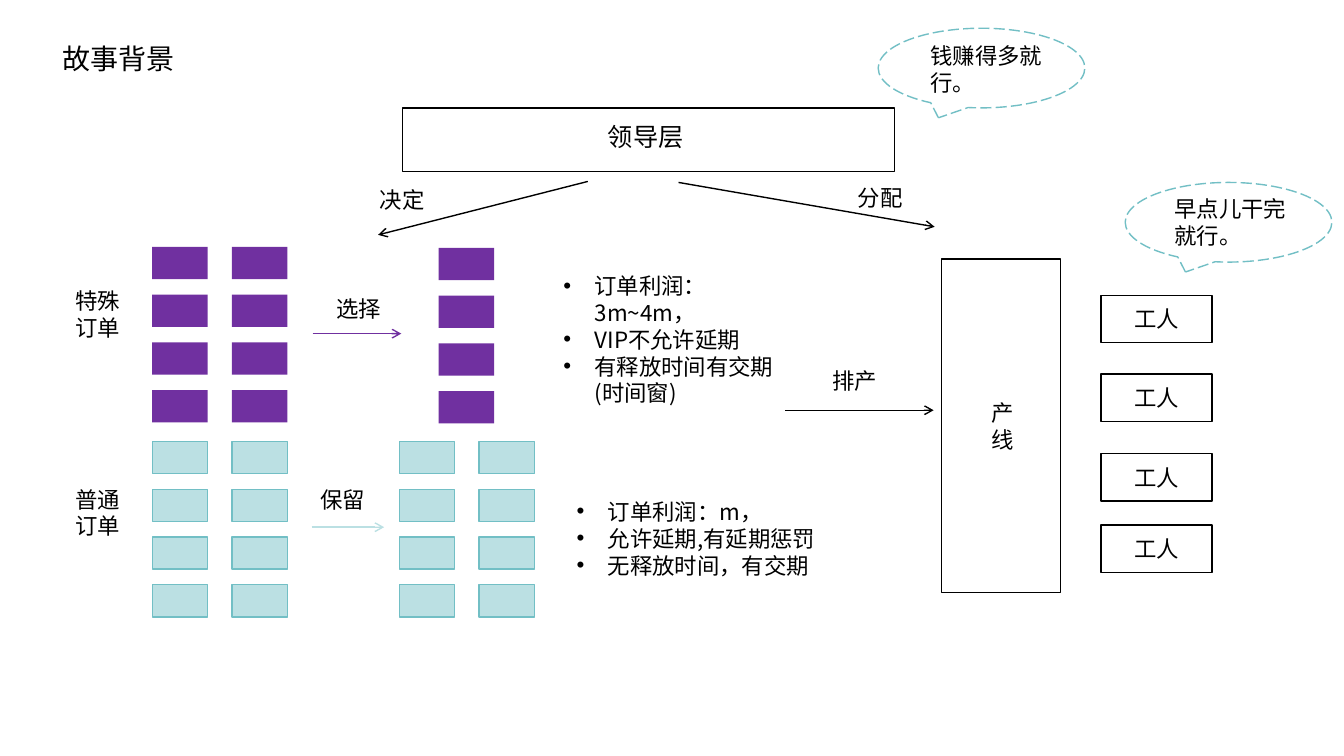
import dataclasses

import lxml.etree
import pptx
import pptx.dml.color
import pptx.enum.dml
import pptx.enum.shapes
import pptx.enum.text
import pptx.oxml.ns
import pptx.util

Inches = pptx.util.Inches
Pt = pptx.util.Pt
SHAPE = pptx.enum.shapes.MSO_SHAPE
ALIGN = pptx.enum.text.PP_ALIGN
AUTO_SIZE = pptx.enum.text.MSO_AUTO_SIZE


@dataclasses.dataclass(frozen=True)
class Theme:
    font: str = "Noto Sans CJK SC"
    ink: str = "000000"
    special: str = "7030A0"
    normal: str = "BBE0E3"
    accent: str = "72BFC5"
    title: int = 20
    heading: int = 18
    body: int = 16
    line: int = 1


def rgb(value):
    return pptx.dml.color.RGBColor.from_string(value)


def add_xml(parent, tag, **attributes):
    return lxml.etree.SubElement(parent, pptx.oxml.ns.qn(tag), attributes)


def write(frame, text, *, theme, size, align=ALIGN.LEFT, bullets=False):
    frame.word_wrap = True
    for index, content in enumerate(text.split("\n")):
        paragraph = frame.paragraphs[0] if index == 0 else frame.add_paragraph()
        paragraph.alignment = align
        if bullets:
            properties = paragraph._p.get_or_add_pPr()
            indent = Inches(0.31)
            properties.set("marL", str(indent))
            properties.set("indent", str(-indent))
            add_xml(properties, "a:buFont", typeface="Arial")
            add_xml(properties, "a:buChar", char="•")
        run = paragraph.add_run()
        run.text = content
        run.font.size = Pt(size)
        run.font.color.rgb = rgb(theme.ink)
        run.font.name = theme.font
        add_xml(run._r.get_or_add_rPr(), "a:ea", typeface=theme.font)


class SlideBuilder:
    def __init__(self, slide, theme):
        self.slide = slide
        self.theme = theme

    def label(self, text, left, top, width, height, size=None, grow=True, **style):
        box = self.slide.shapes.add_textbox(
            Inches(left), Inches(top), Inches(width), Inches(height))
        write(box.text_frame, text, theme=self.theme,
              size=size or self.theme.body, **style)
        box.text_frame.auto_size = (
            AUTO_SIZE.SHAPE_TO_FIT_TEXT if grow else AUTO_SIZE.NONE)

    def block(self, left, top, width, height, fill=None, line=None,
              kind=SHAPE.RECTANGLE):
        block = self.slide.shapes.add_shape(
            kind, Inches(left), Inches(top), Inches(width), Inches(height))
        block.shadow.inherit = False
        if fill:
            block.fill.solid()
            block.fill.fore_color.rgb = rgb(fill)
        else:
            block.fill.background()
        if line:
            block.line.color.rgb = rgb(line)
            block.line.width = Pt(self.theme.line)
        else:
            block.line.fill.background()
        return block

    def orders(self, lefts, top, fill, line=None):
        pitch = 1.42 / 3
        for left in lefts:
            for row in range(4):
                self.block(left, top + row * pitch, 0.55, 0.32, fill, line)

    def worker(self, top):
        worker = self.block(10.92, top, 1.1, 0.47, line=self.theme.ink)
        worker.text_frame.vertical_anchor = pptx.enum.text.MSO_ANCHOR.MIDDLE
        write(worker.text_frame, "工人", theme=self.theme,
              size=self.theme.body, align=ALIGN.CENTER)

    def arrow(self, start, end, color):
        arrow = self.slide.shapes.add_connector(
            pptx.enum.shapes.MSO_CONNECTOR.STRAIGHT,
            *map(Inches, start), *map(Inches, end))
        arrow.line.color.rgb = rgb(color)
        arrow.line.width = Pt(self.theme.line)
        add_xml(arrow.line._get_or_add_ln(), "a:tailEnd", type="arrow")
        add_xml(arrow._element.spPr, "a:effectLst")

    def speech(self, text, left, top, text_left, text_top):
        bubble = self.block(left, top, 2.05, 0.79, line=self.theme.accent,
                            kind=SHAPE.OVAL_CALLOUT)
        bubble.line.dash_style = pptx.enum.dml.MSO_LINE.LONG_DASH
        self.label(text, text_left, text_top, 1.49, 0.64)


def main():
    deck = pptx.Presentation()
    deck.slide_width = Inches(13.33)
    deck.slide_height = Inches(7.5)
    theme = Theme()
    story = SlideBuilder(deck.slides.add_slide(deck.slide_layouts[6]), theme)

    story.label("故事背景", 0.52, 0.36, 2.03, 0.44, size=theme.title)

    story.orders((1.51, 2.3), 4.38, theme.normal, theme.accent)
    story.orders((1.51, 2.3), 2.45, theme.special)
    story.orders((4.35,), 2.46, theme.special)
    story.orders((3.96, 4.75), 4.38, theme.normal, theme.accent)
    story.label("特殊订单", 0.65, 2.8, 0.72, 0.64)
    story.label("普通订单", 0.65, 4.77, 0.72, 0.64)

    for action, left, top in (
            ("选择", 3.09, 2.88), ("保留", 2.93, 4.77), ("排产", 8.01, 3.59)):
        story.label(action, left, top, 0.94, 0.37, align=ALIGN.CENTER)
    story.label("决定", 3.67, 1.8, 0.86, 0.37)
    story.label("分配", 8.41, 1.78, 0.86, 0.37)

    for start, end, color in (
            ((3.1, 3.31), (3.98, 3.31), theme.special),
            ((3.09, 5.23), (3.81, 5.23), theme.normal),
            ((5.83, 1.8), (3.75, 2.33), theme.ink),
            ((7.79, 4.07), (9.26, 4.07), theme.ink),
            ((6.73, 1.81), (9.27, 2.25), theme.ink)):
        story.arrow(start, end, color)

    story.block(3.99, 1.07, 4.88, 0.63, line=theme.ink)
    story.label("领导层", 3.99, 1.15, 4.83, 0.42, size=theme.heading,
                grow=False, align=ALIGN.CENTER)

    story.label("订单利润：3m~4m，\nVIP不允许延期\n有释放时间有交期(时间窗)",
                5.49, 2.65, 2.57, 1.18, bullets=True)
    story.label("订单利润：m，\n允许延期,有延期惩罚\n无释放时间，有交期",
                5.62, 4.89, 2.72, 0.91, bullets=True)

    story.block(9.34, 2.57, 1.18, 3.31, line=theme.ink)
    story.label("产线", 9.74, 3.91, 0.63, 0.43, grow=False)
    for top in (2.93, 3.71, 4.5, 5.21):
        story.worker(top)

    story.speech("钱赚得多就行。", 8.71, 0.28, 9.13, 0.37)
    story.speech("早点儿干完就行。", 11.16, 1.81, 11.55, 1.89)

    deck.save("out.pptx")


if __name__ == "__main__":
    main()
